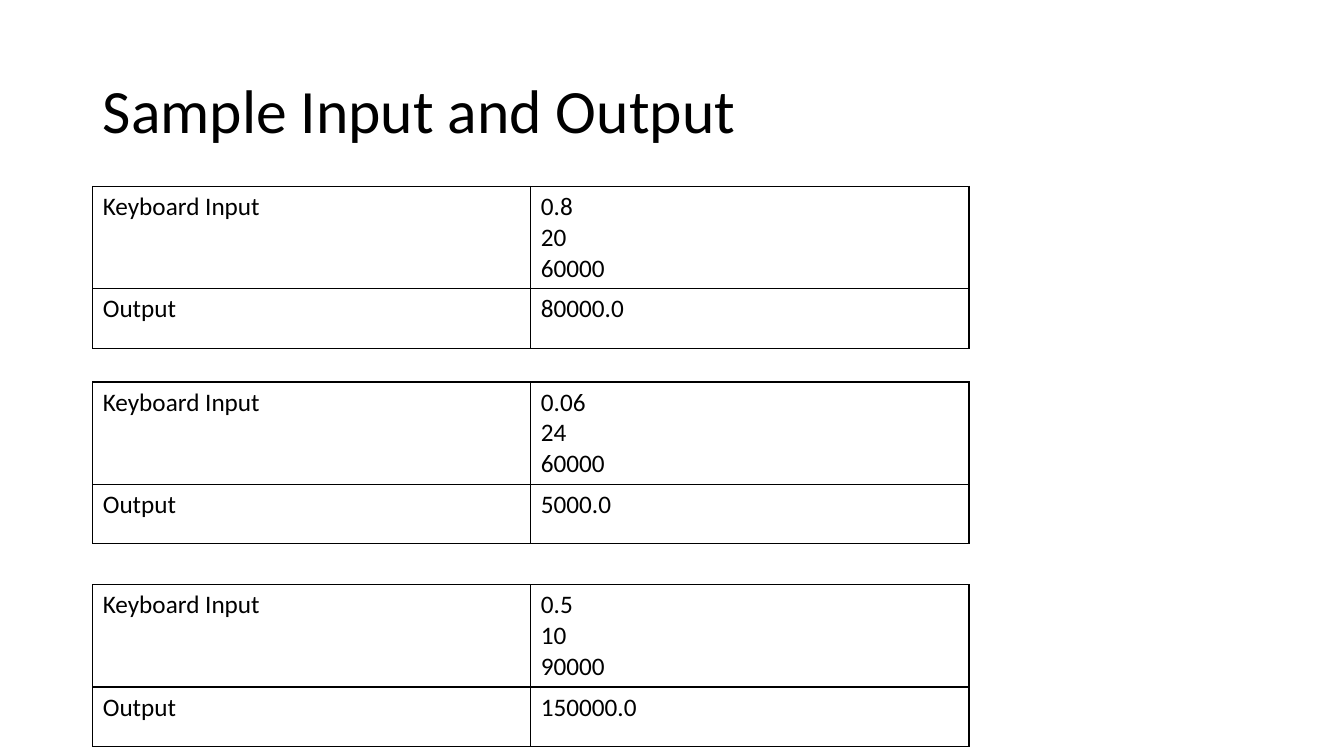
from dataclasses import dataclass

from lxml import etree
from pptx import Presentation
from pptx.dml.color import RGBColor
from pptx.enum.text import MSO_ANCHOR, PP_ALIGN
from pptx.oxml.ns import qn
from pptx.util import Inches, Pt

LEFT = PP_ALIGN.LEFT
MIDDLE = MSO_ANCHOR.MIDDLE
TITLE_ONLY = 5


@dataclass(frozen=True)
class Theme:
    """Fonts, sizes and colours of the slide."""
    font: str = "Calibri"
    ink: str = "000000"
    title_size: int = 44
    body_size: int = 18
    border: int = 1


THEME = Theme()
TITLE_BOX = (0.92, 0.4, 11.5, 1.45)
TABLE_LEFT, TABLE_WIDTH = 0.92, 8.69
ROW_HEIGHTS = (1.01, 0.59)
SAMPLES = [
    (1.85, ["0.8", "20", "60000"], "80000.0"),
    (3.79, ["0.06", "24", "60000"], "5000.0"),
    (5.8, ["0.5", "10", "90000"], "150000.0"),
]


def style_text(tf, size):
    """Apply the theme font to every run of a text frame."""
    for p in tf.paragraphs:
        p.alignment = LEFT
        for r in p.runs:
            r.font.name = THEME.font
            r.font.size = Pt(size)
            r.font.color.rgb = RGBColor.from_string(THEME.ink)


def add_borders(cell):
    """Draw a solid line on all four sides of a cell."""
    tcPr = cell._tc.get_or_add_tcPr()
    for side in ("a:lnL", "a:lnR", "a:lnT", "a:lnB"):
        ln = etree.SubElement(tcPr, qn(side), w=str(Pt(THEME.border)))
        fill = etree.SubElement(ln, qn("a:solidFill"))
        etree.SubElement(fill, qn("a:srgbClr"), val=THEME.ink)


def add_title(s, text, box):
    """Place and format the title placeholder in the given box."""
    sp = s.shapes.title
    sp.left, sp.top, sp.width, sp.height = map(Inches, box)
    tf = sp.text_frame
    tf.text = text
    tf.word_wrap = True
    tf.vertical_anchor = MIDDLE
    tf.paragraphs[0].line_spacing = 0.9
    style_text(tf, THEME.title_size)


def add_sample(s, inputs, output, left, top, width):
    """Add one table of keyboard input and resulting output."""
    rows = [("Keyboard Input", "\n".join(inputs)), ("Output", output)]
    frame = s.shapes.add_table(len(rows), 2, Inches(left), Inches(top),
                               Inches(width), Inches(sum(ROW_HEIGHTS)))
    table = frame.table
    table.first_row = table.horz_banding = False
    for i, (row, height) in enumerate(zip(rows, ROW_HEIGHTS)):
        table.rows[i].height = Inches(height)
        for j, text in enumerate(row):
            cell = table.cell(i, j)
            cell.text_frame.text = text
            style_text(cell.text_frame, THEME.body_size)
            add_borders(cell)
            cell.fill.background()


def build_slide(prs):
    """Build the slide with its title and sample tables."""
    s = prs.slides.add_slide(prs.slide_layouts[TITLE_ONLY])
    add_title(s, "Sample Input and Output", TITLE_BOX)
    for top, inputs, output in SAMPLES:
        add_sample(s, inputs, output, TABLE_LEFT, top, TABLE_WIDTH)


prs = Presentation()
prs.slide_width, prs.slide_height = Inches(13.33), Inches(7.5)
build_slide(prs)
prs.save("out.pptx")
